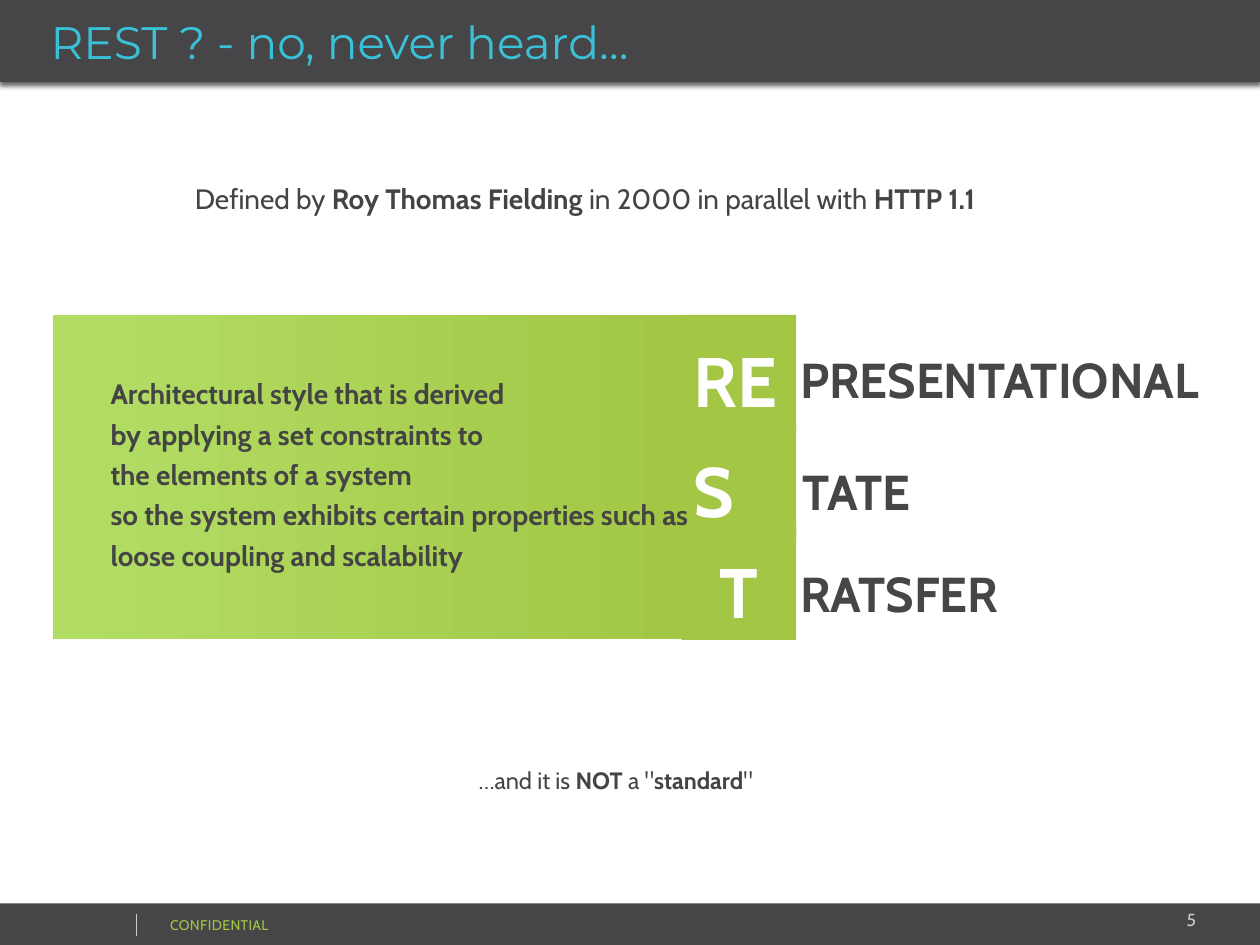
from lxml.etree import SubElement
from pptx import Presentation
from pptx.dml.color import RGBColor
from pptx.enum.shapes import MSO_CONNECTOR, MSO_SHAPE
from pptx.enum.text import MSO_ANCHOR, MSO_AUTO_SIZE, PP_ALIGN
from pptx.oxml.ns import qn
from pptx.util import Cm, Pt

CHARCOAL = RGBColor(0x46, 0x45, 0x47)
INK = RGBColor(0x44, 0x44, 0x44)
SHADE = RGBColor(0x23, 0x23, 0x24)
TEAL = RGBColor(0x39, 0xC2, 0xD7)
GREEN = RGBColor(0xA3, 0xC7, 0x45)
LIME = RGBColor(0xB2, 0xDD, 0x65)
SILVER = RGBColor(0xCC, 0xCC, 0xCC)
WHITE = RGBColor(0xFF, 0xFF, 0xFF)
BODY_FONT, TITLE_FONT = "Cabin", "Montserrat"
SLIDE_W, SLIDE_H = 25.4, 19.05

TITLE = "REST ? - no, never heard…"
ORIGIN = [("Defined by ", False), ("Roy Thomas Fielding", True),
          (" in 2000 in parallel with ", False), ("HTTP 1.1", True)]
DEFINITION = [
    "Architectural style that is derived",
    "by applying a set constraints to",
    "the elements of a system",
    "so the system exhibits certain properties such as loose coupling and scalability",
]
REMARK = [("…and it is ", False), ("NOT ", True), ('a "', False),
          ("standard", True), ('"', False)]
ACRONYM = [
    ("RE", PP_ALIGN.LEFT, 6.35, "PRESENTATIONAL", (15.88, 6.68, 8.84, 1.7)),
    ("T", PP_ALIGN.CENTER, 10.59, "RATSFER", (15.88, 11.0, 5.13, 1.57)),
    ("S", PP_ALIGN.LEFT, 8.56, "TATE", (15.93, 8.94, 3.81, 1.57)),
]
TILE_LEFT, TILE_W, TILE_H = 13.74, 2.31, 2.31


def write(shape, paragraphs, size, color, bold=None, align=PP_ALIGN.LEFT,
          spacing=1.2, anchor=MSO_ANCHOR.TOP, font=BODY_FONT):
    frame = shape.text_frame
    frame.word_wrap = True
    frame.auto_size = MSO_AUTO_SIZE.NONE
    frame.vertical_anchor = anchor
    for index, runs in enumerate(paragraphs):
        paragraph = frame.add_paragraph() if index else frame.paragraphs[0]
        paragraph.alignment = align
        paragraph.line_spacing = spacing
        paragraph.font.name = font
        paragraph.font.size = Pt(size)
        paragraph.font.color.rgb = color
        paragraph.font.bold = bold
        for text, strong in [(runs, None)] if isinstance(runs, str) else runs:
            run = paragraph.add_run()
            run.text = text
            if strong is not None:
                run.font.bold = strong


def add_block(slide, box, color):
    block = slide.shapes.add_shape(MSO_SHAPE.RECTANGLE, *map(Cm, box))
    block.shadow.inherit = False
    block.fill.solid()
    block.fill.fore_color.rgb = color
    block.line.fill.background()
    return block


def add_text(slide, box, paragraphs, size, color, **style):
    label = slide.shapes.add_textbox(*map(Cm, box))
    write(label, paragraphs, size, color, **style)
    return label


def add_footer(slide):
    add_block(slide, (0, 18.21, SLIDE_W, SLIDE_H - 18.21), CHARCOAL)
    add_text(slide, (20.22, 18.21, 4.14, 0.69), ["5"], 10, SILVER,
             align=PP_ALIGN.RIGHT, spacing=1)
    notice = add_text(slide, (3.18, 18.34, 6.43, 0.61), ["CONFIDENTIAL"], 8, GREEN,
                      spacing=1, anchor=MSO_ANCHOR.MIDDLE)
    notice.text_frame.paragraphs[0].runs[0].font._element.set("spc", "20")
    divider = slide.shapes.add_connector(
        MSO_CONNECTOR.STRAIGHT, Cm(2.74), Cm(18.42), Cm(2.74), Cm(18.87))
    divider.line.color.rgb = SILVER
    divider.line.width = Pt(0.25)
    SubElement(divider._element.spPr, qn("a:effectLst"))


def add_title(slide):
    title = slide.shapes.title
    title.left, title.top, title.width, title.height = map(Cm, (0, 0, SLIDE_W, 1.65))
    title.fill.solid()
    title.fill.fore_color.rgb = CHARCOAL
    title.shadow.inherit = False
    effects = title._element.spPr.find(qn("a:effectLst"))
    shadow = SubElement(effects, qn("a:outerShdw"), blurRad=str(Pt(3)),
                        dist=str(Pt(2)), dir="5400000", algn="t", rotWithShape="0")
    shade = SubElement(shadow, qn("a:srgbClr"), val=str(SHADE))
    SubElement(shade, qn("a:alpha"), val="70000")
    write(title, [TITLE], 26, TEAL, spacing=1, anchor=MSO_ANCHOR.MIDDLE, font=TITLE_FONT)
    title.text_frame.margin_left = Cm(1.02)


def add_acronym(slide):
    panel = add_block(slide, (1.06, 6.35, 12.7, 6.53), GREEN)
    panel.fill.gradient()
    panel.fill.gradient_angle = 180
    for stop, color, position in zip(panel.fill.gradient_stops, (GREEN, LIME), (0, 0.98)):
        stop.color.rgb = color
        stop.position = position
    for initial, align, top, rest, rest_box in ACRONYM:
        ending = add_block(slide, rest_box, WHITE)
        write(ending, [rest], 28, CHARCOAL, bold=True)
        tile = add_block(slide, (TILE_LEFT, top, TILE_W, TILE_H), GREEN)
        write(tile, [initial], 40, WHITE, bold=True, align=align)
    add_text(slide, (1.98, 7.34, 12.7, 4.37), DEFINITION, 16, INK, bold=True)


def main():
    deck = Presentation()
    deck.slide_width, deck.slide_height = Cm(SLIDE_W), Cm(SLIDE_H)
    slide = deck.slides.add_slide(deck.slide_layouts[5])
    add_footer(slide)
    add_title(slide)
    add_acronym(slide)
    add_text(slide, (3.68, 3.4, 17.86, 1.07), [ORIGIN], 16, INK)
    add_text(slide, (9.4, 15.21, 6.53, 0.94), [REMARK], 13.5, INK)
    deck.save("out.pptx")


if __name__ == "__main__":
    main()
